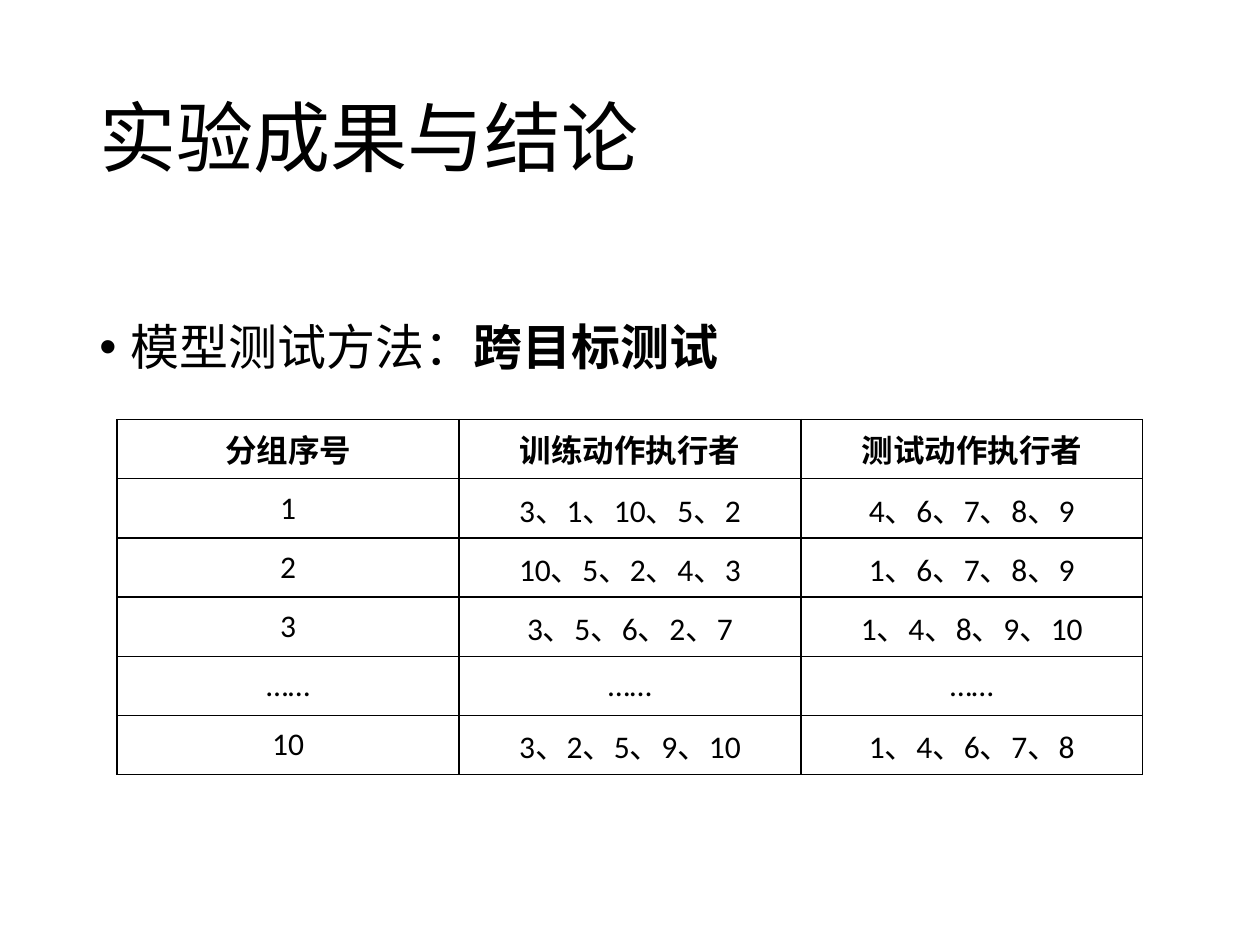
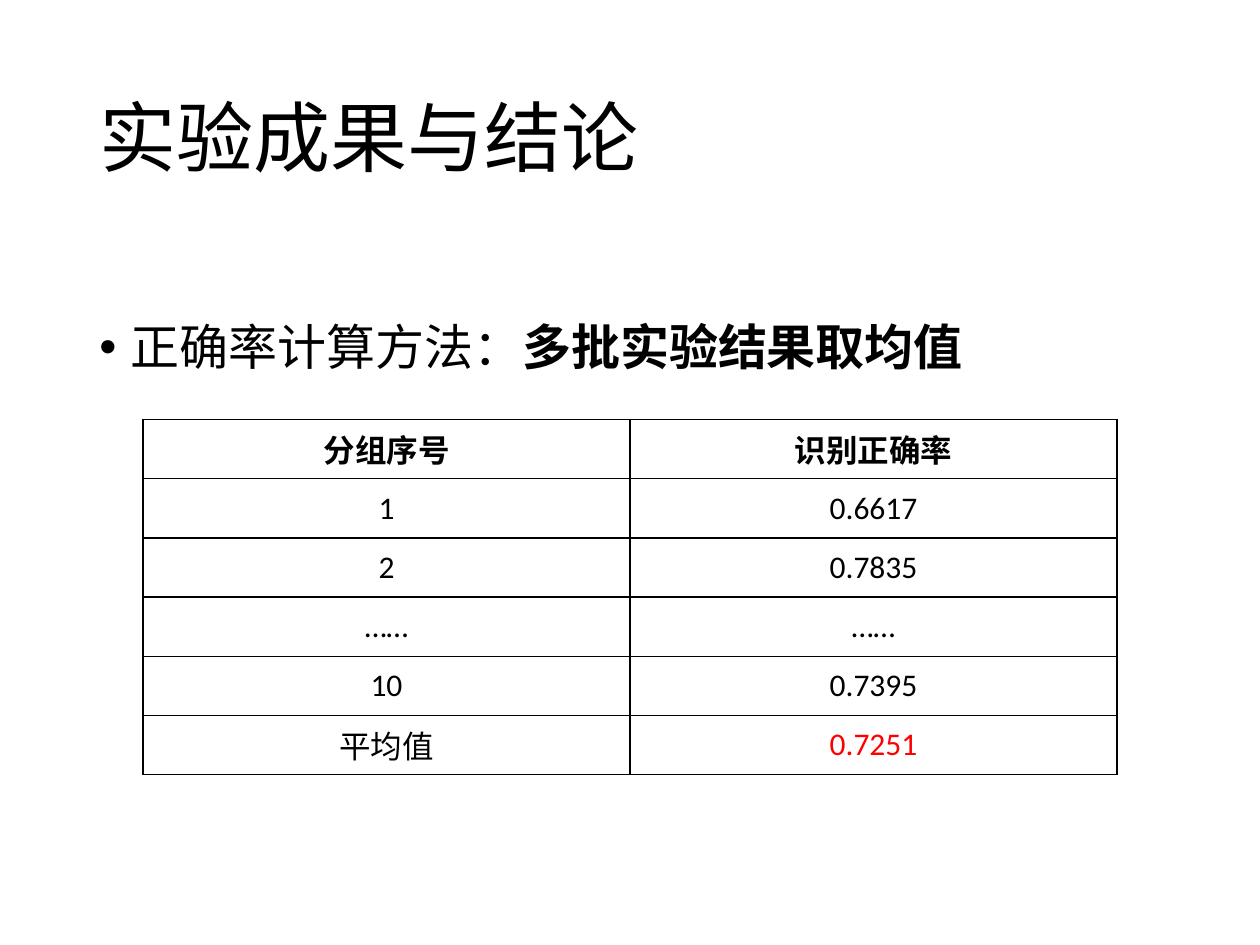
"""Build two slides on test groups and recognition accuracy."""
from lxml import etree
from pptx import Presentation
from pptx.dml.color import RGBColor
from pptx.enum.text import MSO_ANCHOR, MSO_AUTO_SIZE, PP_ALIGN
from pptx.oxml.ns import qn
from pptx.util import Inches, Pt

TITLE = "实验成果与结论"
DOTS = "……"
SLIDES = [
    {
        "point": ("模型测试方法：", "跨目标测试"),
        "share": 0.814,
        "rows": [
            ("分组序号", "训练动作执行者", "测试动作执行者"),
            ("1", "3、1、10、5、2", "4、6、7、8、9"),
            ("2", "10、5、2、4、3", "1、6、7、8、9"),
            ("3", "3、5、6、2、7", "1、4、8、9、10"),
            (DOTS, DOTS, DOTS),
            ("10", "3、2、5、9、10", "1、4、6、7、8"),
        ],
        "marked": (),
    },
    {
        "point": ("正确率计算方法：", "多批实验结果取均值"),
        "share": 0.773,
        "rows": [
            ("分组序号", "识别正确率"),
            ("1", "0.6617"),
            ("2", "0.7835"),
            (DOTS, DOTS),
            ("10", "0.7395"),
            ("平均值", "0.7251"),
        ],
        "marked": ("0.7251",),
    },
]

BLACK = RGBColor(0, 0, 0)
WHITE = RGBColor(255, 255, 255)
RED = RGBColor(255, 0, 0)
FONT = "Calibri"
WIDE, HIGH = Inches(10), Inches(7.5)
EDGE = Inches(0.69)
TITLE_BOX = (EDGE, Inches(0.4), WIDE - 2 * EDGE, Inches(1.45))
POINT_BOX = (EDGE, Inches(2), WIDE - 2 * EDGE, Inches(4.76))
GRID_TOP, ROW_HIGH = Inches(3.33), Inches(0.47)
INDENT = Inches(0.25)
TITLE_ONLY = 5
LEFT, CENTER = PP_ALIGN.LEFT, PP_ALIGN.CENTER
TOP, MIDDLE = MSO_ANCHOR.TOP, MSO_ANCHOR.MIDDLE
NO_FIT = MSO_AUTO_SIZE.NONE


def place(shape, box):
    shape.left, shape.top, shape.width, shape.height = box


def add_run(para, text, size, bold=False, color=BLACK):
    run = para.add_run()
    run.text = text
    font = run.font
    font.name, font.size, font.bold = FONT, Pt(size), bold
    font.color.rgb = color


def set_frame(frame, anchor, spacing):
    frame.word_wrap = True
    frame.auto_size = NO_FIT
    frame.vertical_anchor = anchor
    para = frame.paragraphs[0]
    para.alignment = LEFT
    para.line_spacing = spacing
    return para


def add_title(slide):
    title = slide.shapes.title
    place(title, TITLE_BOX)
    add_run(set_frame(title.text_frame, MIDDLE, 0.9), TITLE, 44)


def add_point(slide, lead, key):
    box = slide.shapes.add_textbox(*POINT_BOX)
    para = set_frame(box.text_frame, TOP, 2.0)
    para.space_before = Pt(10)
    props = para._p.get_or_add_pPr()
    props.set("marL", str(INDENT))
    props.set("indent", str(-INDENT))
    etree.SubElement(props, qn("a:buFont"), typeface="Arial")
    etree.SubElement(props, qn("a:buChar"), char="•")
    add_run(para, lead, 28)
    add_run(para, key, 28, True)


def add_border(cell):
    props = cell._tc.get_or_add_tcPr()
    for i, side in enumerate("LRTB"):
        line = etree.Element(qn(f"a:ln{side}"), w=str(Pt(1)))
        fill = etree.SubElement(line, qn("a:solidFill"))
        etree.SubElement(fill, qn("a:srgbClr"), val=str(BLACK))
        props.insert(i, line)


def fill_cell(cell, text, bold, color):
    cell.fill.solid()
    cell.fill.fore_color.rgb = WHITE
    add_border(cell)
    cell.vertical_anchor = MIDDLE
    cell.margin_left = cell.margin_right = Inches(0.07)
    cell.margin_top = cell.margin_bottom = Inches(0.04)
    para = cell.text_frame.paragraphs[0]
    para.alignment = CENTER
    add_run(para, text, 18, bold, color)


def add_grid(slide, rows, share, marked):
    width = int(WIDE * share)
    count = len(rows)
    frame = slide.shapes.add_table(
        count, len(rows[0]), (WIDE - width) // 2, GRID_TOP,
        width, ROW_HIGH * count)
    table = frame.table
    table.horz_banding = False
    for r, row in enumerate(rows):
        for c, text in enumerate(row):
            color = RED if text in marked else BLACK
            fill_cell(table.cell(r, c), text, r == 0, color)


def main():
    deck = Presentation()
    deck.slide_width, deck.slide_height = WIDE, HIGH
    for item in SLIDES:
        slide = deck.slides.add_slide(deck.slide_layouts[TITLE_ONLY])
        add_title(slide)
        add_point(slide, *item["point"])
        add_grid(slide, item["rows"], item["share"], item["marked"])
    deck.save("out.pptx")


if __name__ == "__main__":
    main()
